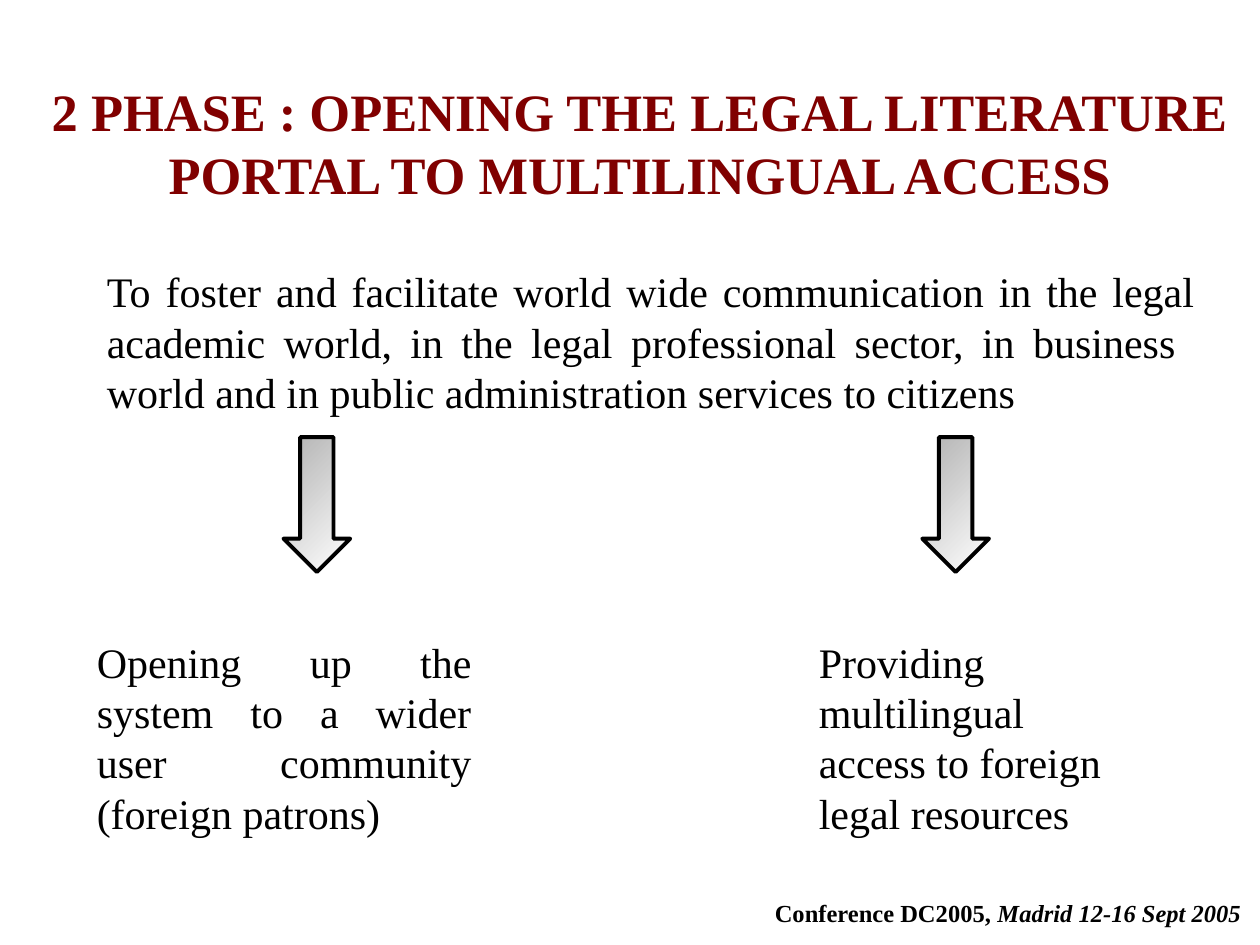
from pptx import Presentation, util as u
from pptx.dml.color import RGBColor
from pptx.enum import shapes, text

# Content: position, format, and paragraphs made of (text, italic) runs
BLACK, MAROON = "000000", "800000"
BODY = {"size": 24, "color": BLACK, "bold": False}
TITLE = {"size": 30, "color": MAROON, "bold": True}
FOOTER = {"size": 14, "color": BLACK, "bold": True}
ALIGN = text.PP_ALIGN

TEXTS = [
    ((0.75, 2.06, 8.83, 1.7), BODY, ALIGN.JUSTIFY, True,
     [[("To foster and facilitate world wide communication in the legal academic world, "
        "in the legal professional sector, in business  world and in public "
        "administration services to citizens", False)]]),
    ((0.67, 5, 3.17, 1.7), BODY, ALIGN.JUSTIFY, True,
     [[("Opening up the system to a wider user community (foreign patrons)", False)]]),
    ((6.4, 5, 3.08, 1.7), BODY, ALIGN.LEFT, True,
     [[("Providing multilingual", False)],
      [("access to foreign legal resources", False)]]),
    ((0.08, 0.58, 10, 1.1), TITLE, ALIGN.CENTER, True,
     [[("2 PHASE : OPENING THE LEGAL LITERATURE PORTAL TO MULTILINGUAL ACCESS", False)]]),
    ((5.77, 7.08, 4.46, 0.34), FOOTER, ALIGN.CENTER, False,
     [[("Conference DC2005,", False), (" Madrid 12-16 Sept 2005", True)]]),
]
ARROW_LEFTS = [2.25, 7.32]
ARROW_TOP, ARROW_WIDTH, ARROW_HEIGHT = 3.47, 0.53, 1.07
ARROW_COLORS = ["FFFFFF", "B2B2B2"]


def color(value):
    return RGBColor.from_string(value)


def add_text(slide, box, style, align, wrap, paragraphs):
    frame = slide.shapes.add_textbox(*map(u.Inches, box)).text_frame
    frame.word_wrap = wrap
    for index, runs in enumerate(paragraphs):
        paragraph = frame.add_paragraph() if index else frame.paragraphs[0]
        paragraph.alignment = align
        for words, italic in runs:
            run = paragraph.add_run()
            run.text = words
            values = {"name": "Times New Roman", "size": u.Pt(style["size"]),
                      "bold": style["bold"], "italic": italic}
            for name, value in values.items():
                setattr(run.font, name, value)
            run.font.color.rgb = color(style["color"])


def add_arrow(slide, left):
    box = (left, ARROW_TOP, ARROW_WIDTH, ARROW_HEIGHT)
    arrow = slide.shapes.add_shape(shapes.MSO_SHAPE.DOWN_ARROW, *map(u.Inches, box))
    arrow.shadow.inherit = False
    arrow.fill.gradient()
    arrow.fill.gradient_angle = 135
    for stop, value in zip(arrow.fill.gradient_stops, ARROW_COLORS):
        stop.color.rgb = color(value)
    arrow.line.color.rgb = color(BLACK)
    arrow.line.width = u.Pt(2.25)


def main():
    presentation = Presentation()
    presentation.slide_width, presentation.slide_height = u.Inches(10), u.Inches(7.5)
    slide = presentation.slides.add_slide(presentation.slide_layouts[6])
    for item in TEXTS:
        add_text(slide, *item)
    for left in ARROW_LEFTS:
        add_arrow(slide, left)
    presentation.save("out.pptx")


if __name__ == "__main__":
    main()
